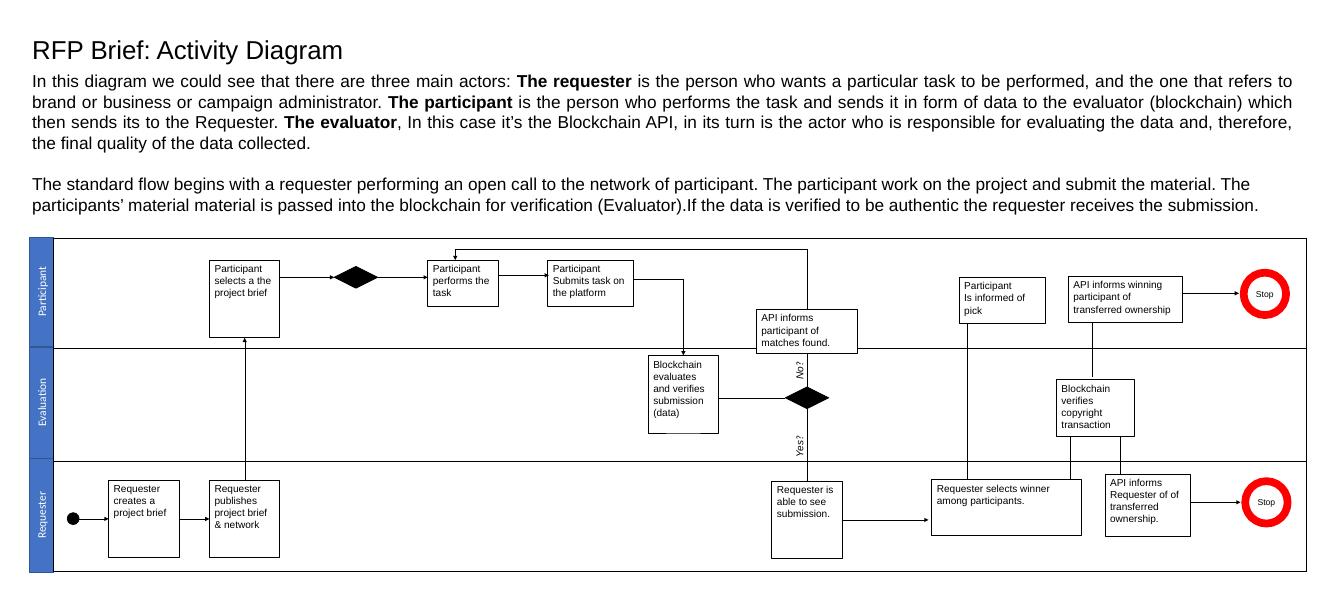
from lxml.etree import SubElement
from pptx import Presentation
from pptx.dml.color import RGBColor as RGB
from pptx.enum.shapes import MSO_CONNECTOR, MSO_SHAPE as SHAPE
from pptx.enum.text import MSO_ANCHOR as ANCHOR, MSO_AUTO_SIZE, PP_ALIGN as ALIGN
from pptx.oxml.ns import qn
from pptx.util import Pt

PX = 9144  # EMU in one px, 100 px to the inch
COLORS = {"ink": "000000", "paper": "FFFFFF", "lane": "4472C4",
          "lane_edge": "325491", "stop": "FF0000"}
TOP, LEFT, BOTTOM, RIGHT = range(4)


def write(shape, text, size=14, font="Arial", color="ink", align=ALIGN.LEFT,
          anchor=ANCHOR.TOP, margin=None, gap=0, italic=False, accent=None):
    """Fill a shape: newlines part paragraphs, asterisks enclose accented runs."""
    frame = shape.text_frame
    frame.word_wrap = True
    frame.auto_size = MSO_AUTO_SIZE.NONE
    frame.vertical_anchor = anchor
    if margin is not None:
        frame.margin_left = frame.margin_right = margin * PX
    for number, line in enumerate(text.split("\n")):
        paragraph = frame.add_paragraph() if number else frame.paragraphs[0]
        paragraph.alignment = align
        paragraph.space_before = Pt(gap if number else 0)
        for order, piece in enumerate(line.split("*")):
            run = paragraph.add_run()
            run.text = piece
            run.font.size, run.font.name = Pt(size), font
            run.font.italic = italic
            run.font.color.rgb = RGB.from_string(COLORS[color])
            if order % 2:
                for attribute, value in (accent or {}).items():
                    setattr(run.font, attribute, value)


def add_node(kind, at, fill="paper", line="ink", weight=1):
    node = slide.shapes.add_shape(kind, *[v * PX for v in at])
    node.shadow.inherit = False
    node.fill.solid()
    node.fill.fore_color.rgb = RGB.from_string(COLORS[fill])
    node.line.color.rgb = RGB.from_string(COLORS[line])
    node.line.width = Pt(weight)
    return node


deck = Presentation()
deck.slide_width, deck.slide_height = 2598 * PX, 1181 * PX
slide = deck.slides.add_slide(deck.slide_layouts[1])

# Heading and introduction
title, intro = slide.placeholders
for holder, at in ((title, (52, 60, 769, 71)), (intro, (52, 131, 2457, 293))):
    holder.left, holder.top, holder.width, holder.height = [v * PX for v in at]
write(title, "RFP Brief: Activity Diagram", size=36)
actors_text = (
    "In this diagram we could see that there are three main actors: *The requester *"
    "is the person who wants a particular task to be performed, and the one that "
    "refers to brand or business or campaign administrator. *The participant *"
    "is the person who performs the task and sends it in form of data to the "
    "evaluator (blockchain) which then sends its to the Requester. *The evaluator*"
    ", In this case it’s the Blockchain API, in its turn is the actor who is "
    "responsible for evaluating the data and, therefore, the final quality of the "
    "data collected.")
flow_text = (
    "The standard flow begins with a requester performing an open call to the "
    "network of participant. The participant work on the project and submit the "
    "material. The participants’ material material is passed into the blockchain "
    "for verification (Evaluator).If the data is verified to be authentic the "
    "requester receives the submission.")
write(intro, "\n".join([actors_text, flow_text]), size=24, gap=28,
      accent={"bold": True})
intro.text_frame.paragraphs[0].alignment = ALIGN.JUSTIFY
for paragraph in intro.text_frame.paragraphs:
    properties = paragraph._p.get_or_add_pPr()
    properties.set("marL", "0")
    properties.set("indent", "0")
    SubElement(properties, qn("a:buNone"))

# Swimlanes
for actor, top, length in (("Participant", 459, 211), ("Evaluation", 671, 215),
                           ("Requester", 886, 220)):
    lane = add_node(SHAPE.RECTANGLE,
                    (80 - length // 2, top + length // 2 - 23, length, 46),
                    "lane", "lane_edge")
    lane.rotation = 270
    write(lane, actor, size=16, font="Calibri", color="paper",
          align=ALIGN.CENTER, anchor=ANCHOR.MIDDLE)

lanes = slide.shapes.add_table(3, 1, 103 * PX, 460 * PX, 2422 * PX, 645 * PX).table
lanes.first_row = lanes.horz_banding = False
for row, height in zip(lanes.rows, (213, 219, 213)):
    row.height = height * PX
    cell = row.cells[0]
    borders = cell._tc.get_or_add_tcPr()
    for side in ("a:lnL", "a:lnR", "a:lnT", "a:lnB"):
        border = SubElement(borders, qn(side), w=str(Pt(1)))
        ink = SubElement(border, qn("a:solidFill"))
        SubElement(ink, qn("a:srgbClr"), val=COLORS["ink"])
    cell.fill.background()

# Steps
STEPS = {
    "create": ((210, 928, 136, 150), "Requester creates a project brief"),
    "publish": ((405, 928, 136, 150), "Requester publishes project brief & network"),
    "select": ((405, 503, 136, 150), "Participant selects a the project brief"),
    "perform": ((827, 503, 136, 89), "Participant performs the task"),
    "submit": ((1059, 503, 166, 89), "Participant\nSubmits task on the platform"),
    "evaluate": ((1253, 687, 136, 150),
                 "Blockchain evaluates and verifies submission (data)"),
    "review": ((1492, 930, 136, 150), "Requester is able to see submission."),
    "matches": ((1462, 598, 196, 86), "API informs participant of matches found."),
    "winner": ((1801, 927, 289, 108), "Requester selects winner among participants."),
    "informed": ((1854, 536, 166, 89), "Participant\nIs informed of pick"),
    "copyright": ((2042, 734, 151, 110), "Blockchain verifies copyright transaction"),
    "inform_requester": ((2136, 916, 166, 120),
                         "API informs Requester of of transferred ownership."),
    "inform_winner": ((2065, 534, 221, 89),
                      "API informs winning participant of transferred ownership"),
}
nodes = {}
for step, (at, text) in STEPS.items():
    nodes[step] = add_node(SHAPE.RECTANGLE, at)
    write(nodes[step], text)

add_node(SHAPE.OVAL, (130, 991, 23, 23), "ink")
for decision, left, top in (("accept", 646, 515), ("verified", 1518, 748)):
    nodes[decision] = add_node(SHAPE.DIAMOND, (left, top, 84, 42), "ink")
for left, top in ((2407, 930), (2404, 527)):
    stop = add_node(SHAPE.OVAL, (left, top, 82, 82), line="stop", weight=10.75)
    write(stop, "Stop", size=12, align=ALIGN.CENTER, anchor=ANCHOR.MIDDLE, margin=0)

# Flows: each end is a point or a (step, side) pair to join
ARROWS = [
    ((153, 1003), ("create", LEFT)),
    (("create", RIGHT), ("publish", LEFT)),
    (("publish", TOP), ("select", BOTTOM)),
    ((541, 536), ("accept", LEFT)),
    (("accept", RIGHT), (827, 536)),
    ((963, 532), (1061, 532)),
    ((1321, 539), ("evaluate", TOP)),
    ((880, 481), (880, 503)),
    (("review", RIGHT), (1795, 1005)),
    ((2302, 971), (2398, 971)),
    ((2286, 567), (2395, 567)),
]
LINES = [
    ((1321, 539), (1225, 539)),
    (("verified", LEFT), (1389, 769)),
    (("verified", TOP), ("matches", BOTTOM)),
    (("matches", TOP), (1560, 481)),
    ((1560, 481), (880, 481)),
    (("review", TOP), ("verified", BOTTOM)),
    ((1869, 927), (1869, 625)),
    ((2069, 927), (2069, 844)),
    ((2111, 729), (2111, 623)),
    ((2165, 916), (2165, 844)),
]
for start, end in ARROWS + LINES:
    points = [(0, 0) if spot[0] in nodes else spot for spot in (start, end)]
    flow = slide.shapes.add_connector(MSO_CONNECTOR.STRAIGHT,
                                      *[v * PX for point in points for v in point])
    if start[0] in nodes:
        flow.begin_connect(nodes[start[0]], start[1])
    if end[0] in nodes:
        flow.end_connect(nodes[end[0]], end[1])
    flow.line.color.rgb = RGB.from_string(COLORS["ink"])
    flow.line.width = Pt(0.5)
    if (start, end) in ARROWS:
        SubElement(flow.line._get_or_add_ln(), qn("a:tailEnd"), type="triangle")
    SubElement(flow._element.spPr, qn("a:effectLst"))

# Answers at the verification decision
for answer, top, align in (("No*?", 700, ALIGN.CENTER), ("Yes*?", 841, ALIGN.LEFT)):
    label = slide.shapes.add_textbox(1510 * PX, top * PX, 71 * PX, 34 * PX)
    label.rotation = 270
    write(label, answer, align=align, italic=True, accent={"name": "Calibri"})

deck.save("out.pptx")
